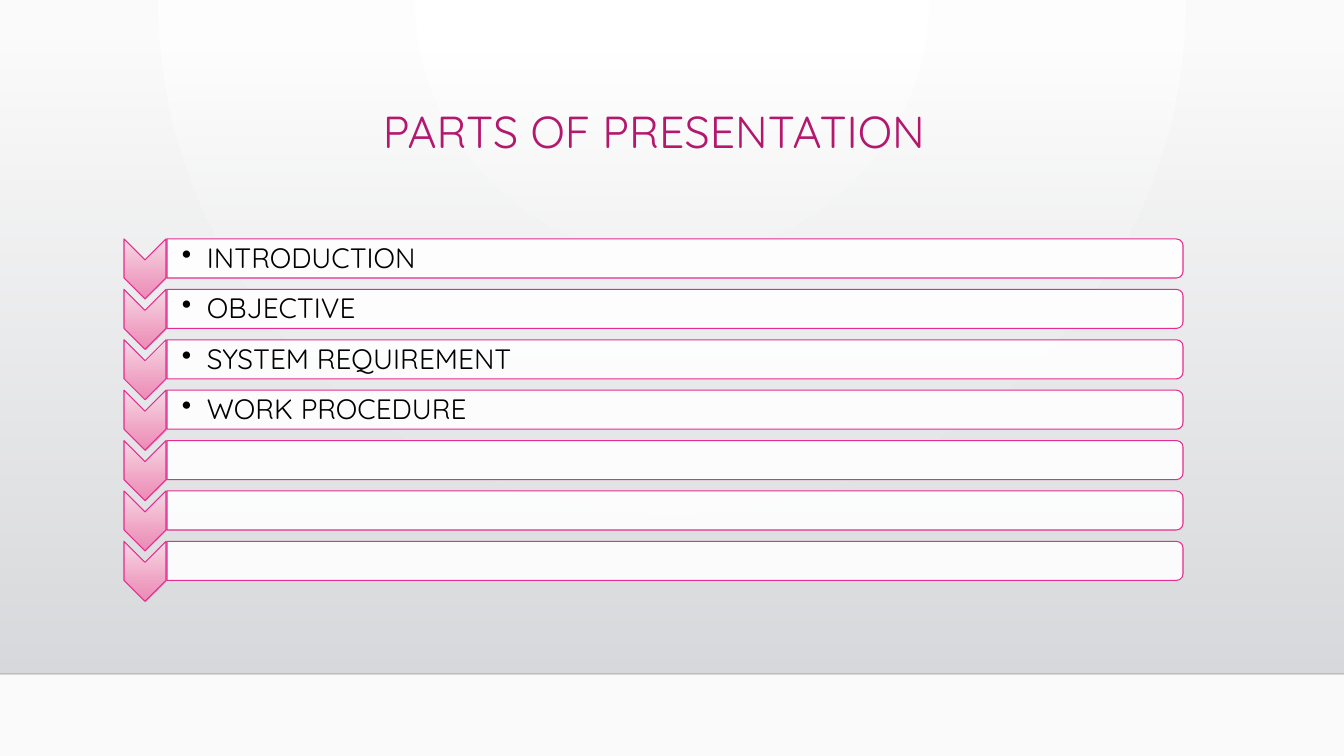
import pptx
import pptx.dml.color
import pptx.enum.shapes
import pptx.enum.text
import pptx.oxml
import pptx.oxml.ns
import pptx.util

PX = 914400 / 100.8
FONT = "Quicksand"
PINK = "E32D91"
SHAPES = pptx.enum.shapes.MSO_SHAPE
TOPICS = ["INTRODUCTION", "OBJECTIVE", "SYSTEM REQUIREMENT", "WORK PROCEDURE"]
ROW_COUNT = 7
ROW_TOP = 239
ROW_PITCH = 50.4
LINEAR = '<a:lin ang="5400000" scaled="0"/>'
CIRCLE = ('<a:path path="circle">'
          '<a:fillToRect l="43000" t="0" r="43000" b="100000"/></a:path>')


def px(length):
    return pptx.util.Emu(round(length * PX))


def colour(hex_code):
    return pptx.dml.color.RGBColor.from_string(hex_code)


def add_xml(parent, tag, **attributes):
    child = pptx.oxml.parse_xml(f"<a:{tag} {pptx.oxml.ns.nsdecls('a')}/>")
    for name, value in attributes.items():
        child.set(name, str(value))
    parent.append(child)
    return child


def set_opacity(owner, percent):
    """Make the first solid colour found in the element partly transparent."""
    add_xml(owner.xpath(".//a:solidFill/a:srgbClr")[0], "alpha", val=percent * 1000)


def set_gradient(fill, owner, start, end, direction=LINEAR):
    """Fill with two stops, each a pair of hex colour and opacity percent."""
    fill.solid()
    fill.fore_color.rgb = colour(start[0])
    stops = "".join(
        f'<a:gs pos="{place}"><a:srgbClr val="{code}">'
        f'<a:alpha val="{opacity * 1000}"/></a:srgbClr></a:gs>'
        for place, (code, opacity) in ((0, start), (100000, end)))
    gradient = pptx.oxml.parse_xml(
        f'<a:gradFill {pptx.oxml.ns.nsdecls("a")} rotWithShape="0">'
        f"<a:gsLst>{stops}</a:gsLst>{direction}</a:gradFill>")
    solid = owner.xpath(".//a:solidFill")[0]
    solid.getparent().replace(solid, gradient)


def add_backdrop(page):
    set_gradient(page.background.fill, page.element.xpath(".//p:bg")[0],
                 ("FFFFFF", 100), ("FAFAFA", 100), CIRCLE)
    shade = page.shapes.add_shape(SHAPES.RECTANGLE, 0, px(51), px(1344), px(623))
    shade.shadow.inherit = False
    shade.line.fill.background()
    set_gradient(shade.fill, shade.element.spPr, ("D8D9DC", 0), ("DADBDE", 100))

    floor = page.shapes.add_connector(
        pptx.enum.shapes.MSO_CONNECTOR.STRAIGHT, 0, px(674), px(1344), px(674))
    floor.line.color.rgb = colour("000001")
    floor.line.width = pptx.util.Pt(1)
    properties = floor.element.spPr
    set_opacity(properties, 20)
    add_xml(properties, "effectLst")


def add_text(page, text, left, top, width, height, size, hex_code):
    box = page.shapes.add_textbox(px(left), px(top), px(width), px(height))
    box.text_frame.word_wrap = True
    paragraph = box.text_frame.paragraphs[0]
    paragraph.text = text
    paragraph.line_spacing = 0.9
    paragraph.font.name = FONT
    paragraph.font.size = pptx.util.Pt(size)
    paragraph.font.color.rgb = colour(hex_code)
    return box.text_frame


def add_turned_shape(page, kind, left, top, width, height):
    """Add a shape turned a quarter clockwise that covers the given area."""
    shape = page.shapes.add_shape(
        kind, px(left + (width - height) / 2), px(top + (height - width) / 2),
        px(height), px(width))
    shape.rotation = 90
    shape.shadow.inherit = False
    shape.line.color.rgb = colour(PINK)
    shape.line.width = pptx.util.Pt(0.75)
    return shape


def add_row(page, top):
    chevron = add_turned_shape(page, SHAPES.CHEVRON, 124, top, 42, 60)
    set_gradient(chevron.fill, chevron.element.spPr, ("F8DAE6", 100), ("EE83B1", 92))
    bar = add_turned_shape(page, SHAPES.ROUND_2_SAME_RECTANGLE, 167, top, 1016, 39)
    bar.fill.solid()
    bar.fill.fore_color.rgb = colour("FFFFFF")
    set_opacity(bar.element.spPr, 90)


def add_topic(page, topic, top):
    frame = add_text(page, topic, 166, top + 3, 1014, 35, 20, "000000")
    frame.vertical_anchor = pptx.enum.text.MSO_ANCHOR.MIDDLE
    frame.margin_left = px(16)
    frame.margin_top = frame.margin_right = frame.margin_bottom = px(1)
    properties = frame.paragraphs[0]._p.get_or_add_pPr()
    properties.set("marL", str(px(25)))
    properties.set("indent", str(px(-25)))
    bullet = add_xml(properties, "buChar", char="•")
    properties.xpath("./a:defRPr")[0].addprevious(bullet)


def main():
    deck = pptx.Presentation()
    deck.slide_width, deck.slide_height = px(1344), px(756)
    page = deck.slides.add_slide(deck.slide_layouts[6])
    add_backdrop(page)
    title = add_text(page, "PARTS OF PRESENTATION", 125, 105, 1058, 116, 32, "B4186E")
    title.paragraphs[0].alignment = pptx.enum.text.PP_ALIGN.CENTER
    for index in range(ROW_COUNT):
        top = ROW_TOP + index * ROW_PITCH
        add_row(page, top)
        if index < len(TOPICS):
            add_topic(page, TOPICS[index], top)
    deck.save("out.pptx")


if __name__ == "__main__":
    main()
